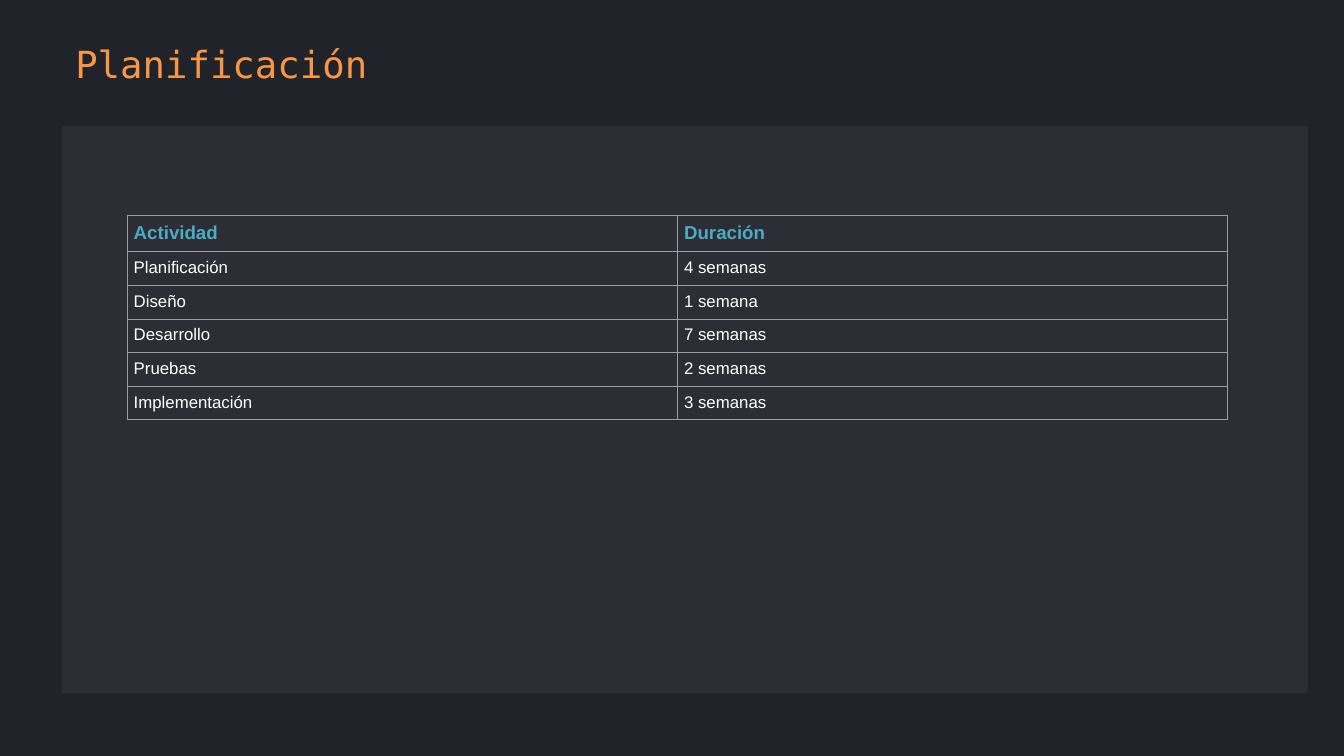
import dataclasses

import pptx
import pptx.dml.color
import pptx.enum.shapes
import pptx.enum.text
import pptx.oxml
import pptx.oxml.ns
import pptx.util

Inches = pptx.util.Inches
Pt = pptx.util.Pt

COLORS = {
    "background": "20232A",
    "panel": "2D2D35",
    "title": "F79646",
    "header": "4BACC6",
    "body": "FFFFFF",
    "border": "9E9E9E",
}


@dataclasses.dataclass(frozen=True)
class TextStyle:
    font: str
    size: int
    color: str
    bold: bool = False


@dataclasses.dataclass(frozen=True)
class Activity:
    name: str
    duration: str


TITLE_STYLE = TextStyle("DejaVu Sans Mono", 40, "title")
HEADER_STYLE = TextStyle("Arial", 20, "header", True)
BODY_STYLE = TextStyle("Arial", 18, "body")

HEADER = Activity("Actividad", "Duración")
ACTIVITIES = [
    Activity("Planificación", "4 semanas"),
    Activity("Diseño", "1 semana"),
    Activity("Desarrollo", "7 semanas"),
    Activity("Pruebas", "2 semanas"),
    Activity("Implementación", "3 semanas"),
]

COLUMN_WIDTH = 8.19
ROW_HEIGHT = 0.42
CELL_MARGIN = 0.1
BORDER_WIDTH = 0.75


def rgb(name: str) -> pptx.dml.color.RGBColor:
    return pptx.dml.color.RGBColor.from_string(COLORS[name])


def add_text(paragraph, text: str, style: TextStyle) -> None:
    run = paragraph.add_run()
    run.text = text
    run.font.name = style.font
    run.font.size = Pt(style.size)
    run.font.bold = style.bold
    run.font.color.rgb = rgb(style.color)


def add_panel(slide) -> None:
    panel = slide.shapes.add_shape(
        pptx.enum.shapes.MSO_SHAPE.RECTANGLE,
        Inches(0.92), Inches(1.88), Inches(18.54), Inches(8.44),
    )
    panel.shadow.inherit = False
    panel.fill.solid()
    panel.fill.fore_color.rgb = rgb("panel")
    panel.line.fill.background()


def fill_title(slide, text: str) -> None:
    title = slide.shapes.title
    title.left, title.top = Inches(1.12), Inches(0.52)
    title.width, title.height = Inches(10.04), Inches(0.67)
    frame = title.text_frame
    frame.margin_left = frame.margin_right = 0
    frame.margin_top = frame.margin_bottom = 0
    frame.word_wrap = True
    frame.auto_size = pptx.enum.text.MSO_AUTO_SIZE.SHAPE_TO_FIT_TEXT
    frame.vertical_anchor = pptx.enum.text.MSO_ANCHOR.TOP
    paragraph = frame.paragraphs[0]
    paragraph.alignment = pptx.enum.text.PP_ALIGN.LEFT
    paragraph.line_spacing = 1.14
    add_text(paragraph, text, TITLE_STYLE)


def set_borders(cell) -> None:
    properties = cell._tc.get_or_add_tcPr()
    for position, side in enumerate(("lnL", "lnR", "lnT", "lnB")):
        border = pptx.oxml.parse_xml(
            f'<a:{side} {pptx.oxml.ns.nsdecls("a")} w="{Pt(BORDER_WIDTH)}">'
            f'<a:solidFill><a:srgbClr val="{COLORS["border"]}"/></a:solidFill>'
            f'<a:prstDash val="solid"/></a:{side}>'
        )
        properties.insert(position, border)


def fill_cell(cell, text: str, style: TextStyle) -> None:
    cell.margin_left = cell.margin_right = Inches(CELL_MARGIN)
    cell.margin_top = cell.margin_bottom = Inches(CELL_MARGIN)
    cell.fill.background()
    set_borders(cell)
    add_text(cell.text_frame.paragraphs[0], text, style)


def add_schedule(slide, activities: list[Activity]) -> None:
    rows = [HEADER, *activities]
    table = slide.shapes.add_table(
        len(rows), 2, Inches(1.89), Inches(3.21),
        Inches(2 * COLUMN_WIDTH), Inches(len(rows) * ROW_HEIGHT),
    ).table
    table.first_row = False
    table.horz_banding = False
    for row_index, activity in enumerate(rows):
        style = HEADER_STYLE if row_index == 0 else BODY_STYLE
        fill_cell(table.cell(row_index, 0), activity.name, style)
        fill_cell(table.cell(row_index, 1), activity.duration, style)


def main() -> None:
    presentation = pptx.Presentation()
    presentation.slide_width = Inches(20)
    presentation.slide_height = Inches(11.25)
    slide = presentation.slides.add_slide(presentation.slide_layouts[5])
    slide.background.fill.solid()
    slide.background.fill.fore_color.rgb = rgb("background")
    add_panel(slide)
    fill_title(slide, "Planificación")
    add_schedule(slide, ACTIVITIES)
    presentation.save("out.pptx")


if __name__ == "__main__":
    main()
